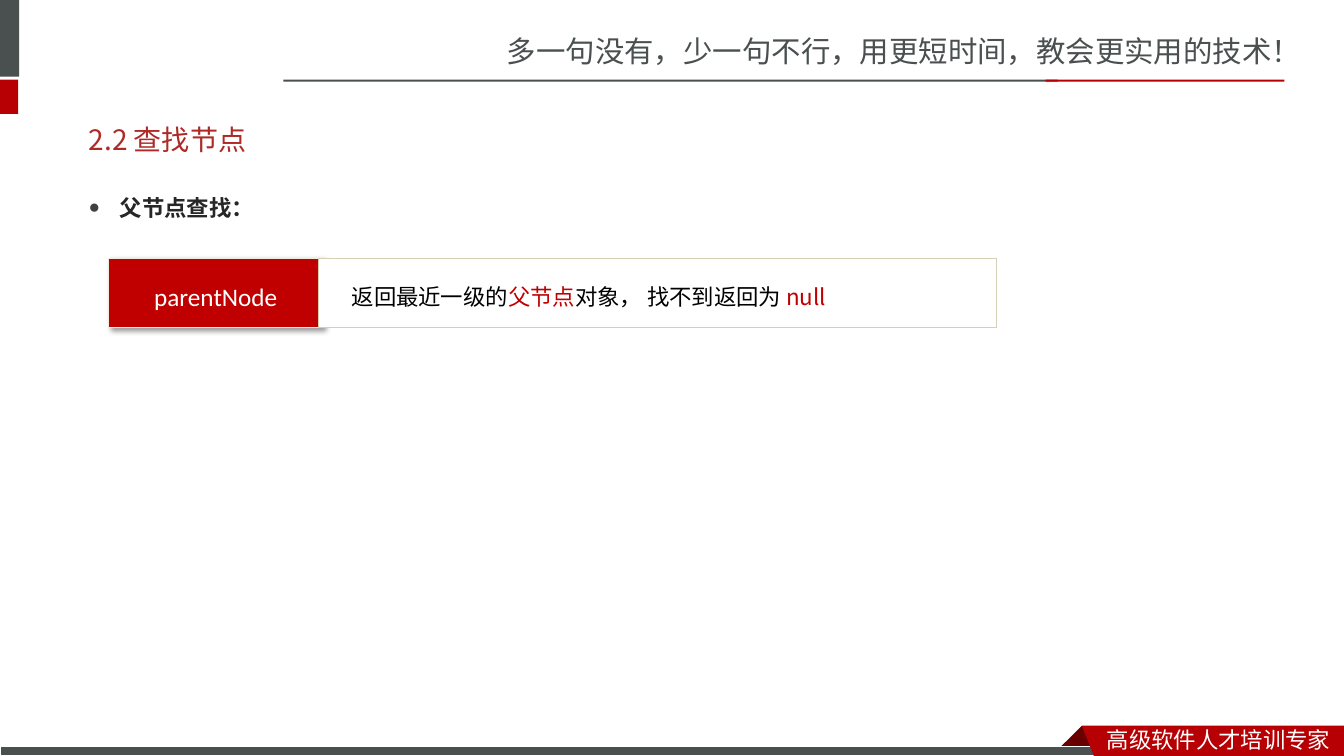
from dataclasses import dataclass

import lxml.etree
import pptx
import pptx.dml.color
import pptx.enum.shapes
import pptx.enum.text
import pptx.oxml
import pptx.oxml.ns
import pptx.util
from pptx.util import Inches

ALIGN = pptx.enum.text.PP_ALIGN
qn = pptx.oxml.ns.qn


@dataclass(frozen=True)
class Theme:
    slate: str = "49504F"
    red: str = "B60004"
    fold: str = "680000"
    heading: str = "AD2A26"
    accent: str = "C00000"
    ink: str = "262626"
    bullet: str = "404040"
    black: str = "000000"
    white: str = "FFFFFF"
    label_edge: str = "EEECE1"
    panel_edge: str = "D5D0B5"
    slogan_size: float = 21
    title_size: float = 20
    label_size: float = 18
    text_size: float = 16
    cjk_sc: str = "Noto Sans CJK SC"
    cjk_jp: str = "Noto Sans CJK JP"
    latin: str = "Calibri"
    body: str = "Roboto"


THEME = Theme()


@dataclass(frozen=True)
class Box:
    left: float
    top: float
    width: float
    height: float

    def emu(self) -> tuple:
        return tuple(Inches(v) for v in (self.left, self.top, self.width, self.height))


@dataclass(frozen=True)
class Bar:
    box: Box
    fill: str
    edge: str | None = None


@dataclass(frozen=True)
class Ribbon:
    points: tuple
    fill: str


@dataclass(frozen=True)
class Caption:
    box: Box
    runs: tuple  # (text, colour) pairs
    size: float
    font: str
    align: ALIGN = ALIGN.LEFT


BARS = (
    Bar(Box(0, 0, 0.19, 0.76), THEME.slate),
    Bar(Box(0, 0.79, 0.18, 0.34), THEME.red),
    Bar(Box(2.81, 0.79, 7.68, 0.02), THEME.slate),
    Bar(Box(10.37, 0.79, 2.37, 0.02), THEME.red),
)
FOLD = Ribbon(((10.73, 7.2), (10.95, 7.42), (10.94, 7.43), (10.52, 7.43), (10.51, 7.42)), THEME.fold)
FOOTER = Bar(Box(0, 7.41, 10.99, 0.09), THEME.slate, THEME.white)
BANNER = Ribbon(((10.73, 7.2), (13.33, 7.2), (13.33, 7.5), (10.85, 7.5)), THEME.red)
LABEL = Bar(Box(1.08, 2.56, 2.12, 0.69), THEME.accent, THEME.label_edge)
PANEL = Bar(Box(3.16, 2.56, 6.72, 0.69), THEME.white, THEME.panel_edge)

CAPTIONS = (
    Caption(Box(4.93, 0.28, 8.4, 0.47),
            (("多一句没有，少一句不行，用更短时间，教会更实用的技术！", THEME.slate),),
            THEME.slogan_size, THEME.cjk_sc),
    Caption(Box(10.88, 7.15, 2.45, 0.35), (("高级软件人才培训专家", THEME.white),),
            THEME.text_size, THEME.cjk_sc),
    Caption(Box(1.13, 2.74, 2.02, 0.4), (("parentNode", THEME.white),),
            THEME.label_size, THEME.latin, ALIGN.CENTER),
    Caption(Box(3.39, 2.76, 6.16, 0.37),
            (("返回最近一级的", THEME.black), ("父节点", THEME.accent),
             ("对象， 找不到返回为 ", THEME.black), ("null", THEME.accent)),
            THEME.text_size, THEME.cjk_jp, ALIGN.JUSTIFY),
)


def rgb(value: str) -> pptx.dml.color.RGBColor:
    return pptx.dml.color.RGBColor.from_string(value)


def paint(shape, fill: str, edge: str | None = None) -> None:
    shape.shadow.inherit = False
    shape.fill.solid()
    shape.fill.fore_color.rgb = rgb(fill)
    if edge:
        shape.line.color.rgb = rgb(edge)
        shape.line.width = pptx.util.Pt(0.75)
    else:
        shape.line.fill.background()


def draw_bar(slide, bar: Bar):
    shape = slide.shapes.add_shape(pptx.enum.shapes.MSO_SHAPE.RECTANGLE, *bar.box.emu())
    paint(shape, bar.fill, bar.edge)
    return shape


def draw_ribbon(slide, ribbon: Ribbon) -> None:
    start, *rest = [(Inches(x), Inches(y)) for x, y in ribbon.points]
    builder = slide.shapes.build_freeform(*start)
    builder.add_line_segments(rest, close=True)
    paint(builder.convert_to_shape(), ribbon.fill)


def cast_shadow(shape) -> None:
    effects = shape._element.spPr.find(qn("a:effectLst"))
    shadow = lxml.etree.SubElement(
        effects, qn("a:outerShdw"), blurRad=str(pptx.util.Pt(4)),
        dist=str(pptx.util.Pt(3)), dir=str(45 * 60000), algn="tl", rotWithShape="0")
    colour = lxml.etree.SubElement(shadow, qn("a:srgbClr"), val=THEME.black)
    lxml.etree.SubElement(colour, qn("a:alpha"), val="40000")


def style(paragraph, size: float, font: str, colour: str | None = None, bold: bool = False) -> None:
    """Set the paragraph font for Latin and East Asian text alike."""
    paragraph.font.size = pptx.util.Pt(size)
    paragraph.font.bold = bold
    if colour:
        paragraph.font.color.rgb = rgb(colour)
    paragraph.font.name = font
    latin = paragraph._p.pPr.find(qn("a:defRPr")).find(qn("a:latin"))
    east_asian = lxml.etree.Element(qn("a:ea"), typeface=font)
    latin.addnext(east_asian)


def draw_caption(slide, caption: Caption) -> None:
    frame = slide.shapes.add_textbox(*caption.box.emu()).text_frame
    frame.word_wrap = True
    paragraph = frame.paragraphs[0]
    paragraph.alignment = caption.align
    colours = {colour for _, colour in caption.runs}
    style(paragraph, caption.size, caption.font, colours.pop() if len(colours) == 1 else None)
    for text, colour in caption.runs:
        run = paragraph.add_run()
        run.text = text
        if len(caption.runs) > 1:
            run.font.color.rgb = rgb(colour)


def place(placeholder, box: Box, text: str):
    placeholder.left, placeholder.top, placeholder.width, placeholder.height = box.emu()
    placeholder.text_frame.text = text
    paragraph = placeholder.text_frame.paragraphs[0]
    paragraph.alignment = ALIGN.LEFT
    return paragraph


def add_bullet(paragraph) -> None:
    props = paragraph._p.get_or_add_pPr()
    props.set("marL", str(Inches(0.31)))
    props.set("indent", str(-Inches(0.31)))
    colour = lxml.etree.SubElement(props, qn("a:buClr"))
    lxml.etree.SubElement(colour, qn("a:srgbClr"), val=THEME.bullet)
    lxml.etree.SubElement(props, qn("a:buSzPct"), val="85000")
    lxml.etree.SubElement(props, qn("a:buChar"), char="●")


def main() -> None:
    deck = pptx.Presentation()
    deck.slide_width, deck.slide_height = Inches(13.33), Inches(7.5)
    slide = deck.slides.add_slide(deck.slide_layouts[1])

    heading = place(slide.shapes.title, Box(0.78, 1.1, 11.75, 0.57), "2.2 查找节点")
    slide.shapes.title.text_frame.vertical_anchor = pptx.enum.text.MSO_ANCHOR.MIDDLE
    style(heading, THEME.title_size, THEME.cjk_jp, THEME.heading)

    topic = place(slide.placeholders[1], Box(0.78, 1.74, 11.72, 4.98), "父节点查找：")
    topic.line_spacing = 1.5
    topic.space_before = pptx.util.Pt(0)
    add_bullet(topic)
    style(topic, THEME.text_size, THEME.body, THEME.ink, bold=True)

    for bar in BARS:
        draw_bar(slide, bar)
    draw_ribbon(slide, FOLD)
    draw_bar(slide, FOOTER)
    draw_ribbon(slide, BANNER)
    cast_shadow(draw_bar(slide, LABEL))
    draw_bar(slide, PANEL)
    for caption in CAPTIONS:
        draw_caption(slide, caption)

    deck.save("out.pptx")


if __name__ == "__main__":
    main()
